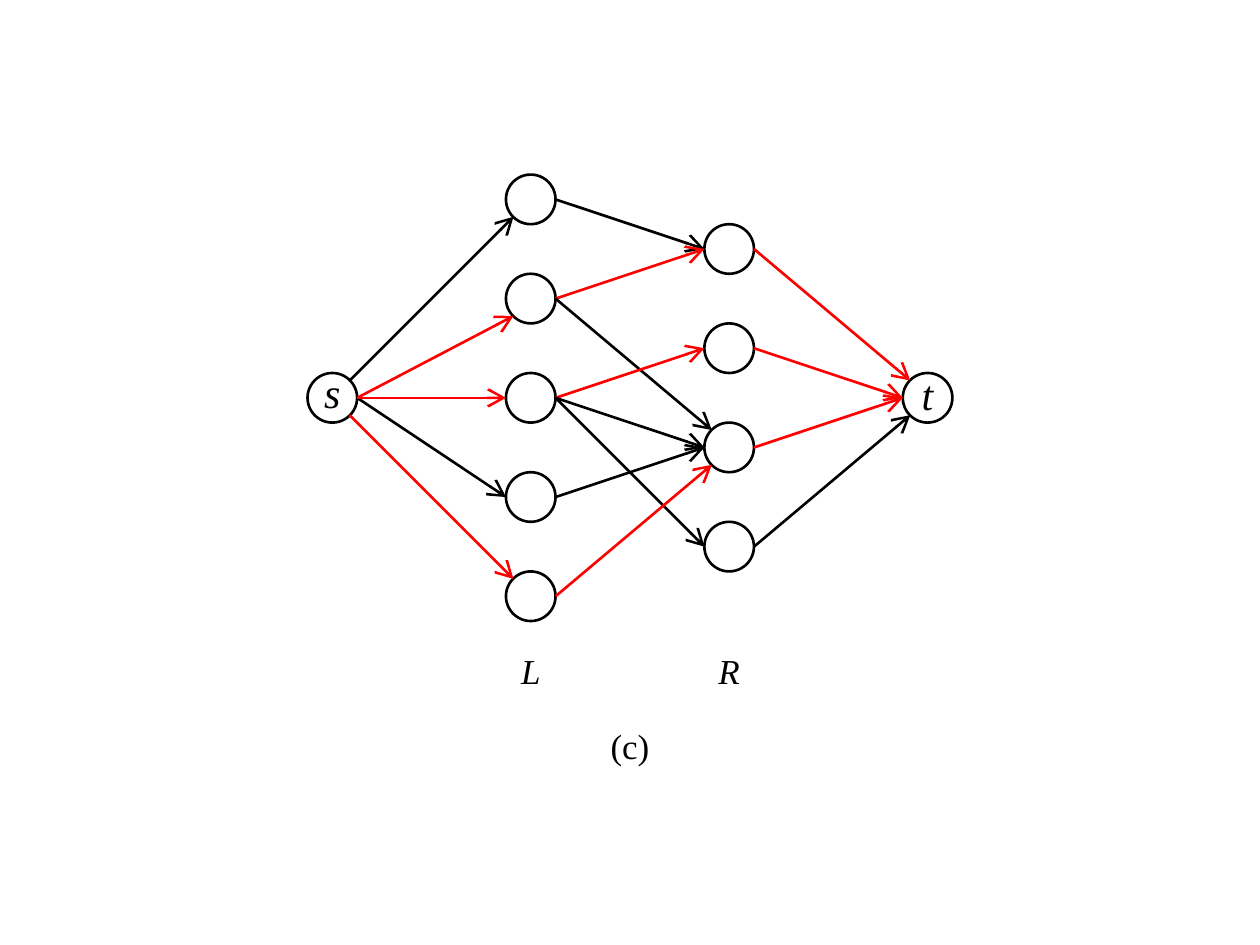
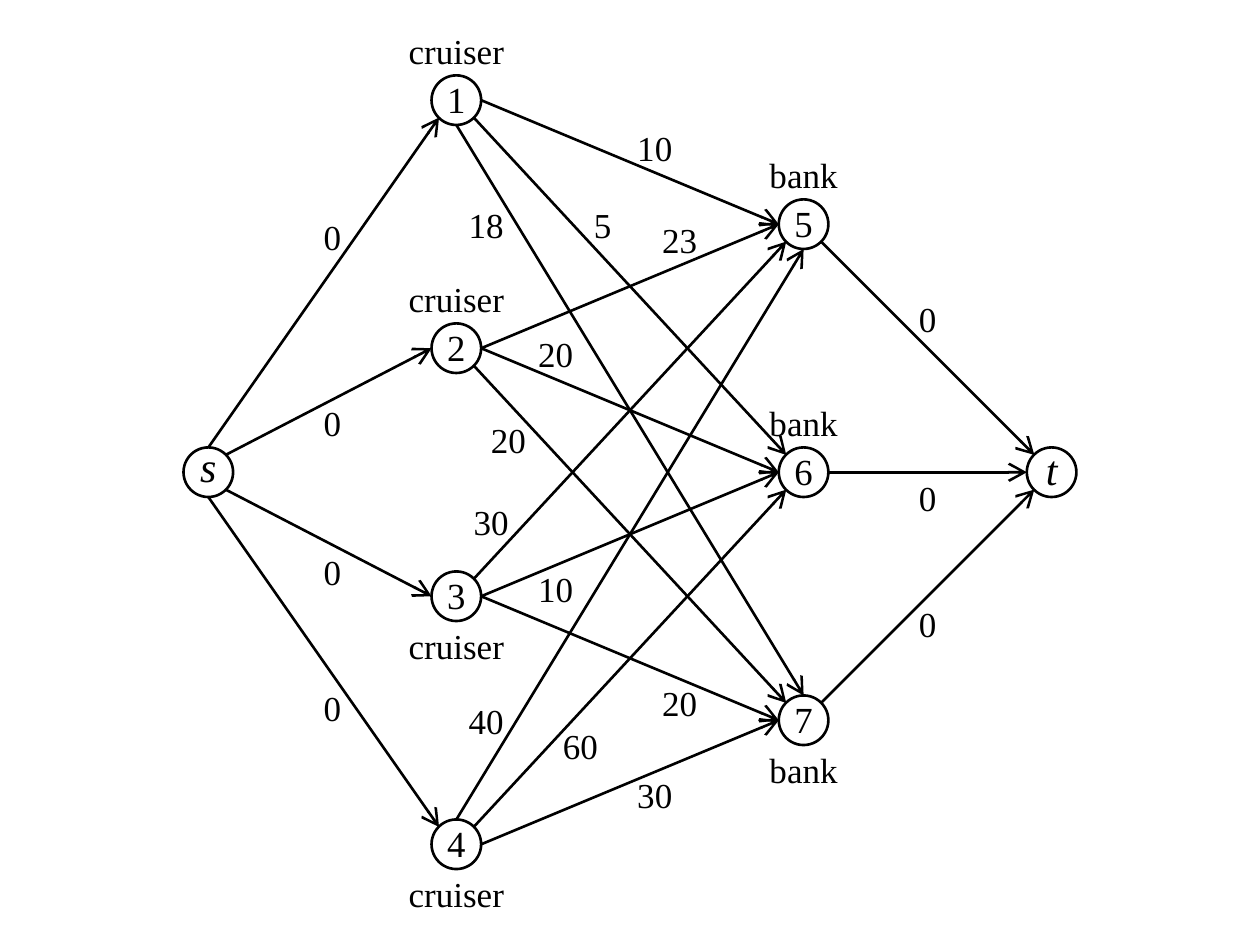
from lxml import etree
from pptx import Presentation
from pptx.dml.color import RGBColor
from pptx.enum.shapes import MSO_CONNECTOR, MSO_SHAPE
from pptx.enum.text import MSO_ANCHOR, PP_ALIGN
from pptx.oxml.ns import qn
from pptx.util import Emu, Pt

SCALE = 3600
WIDTH, HEIGHT = 2540, 1905
SIZE = 100
HALF = SIZE // 2
DIAG = 35
FONT = "Times New Roman"
COLORS = {"black": "000000", "red": "FF0000", "white": "FFFFFF"}
OVAL = MSO_SHAPE.OVAL
LINE = MSO_CONNECTOR.STRAIGHT
MIDDLE = MSO_ANCHOR.MIDDLE
CENTER = PP_ALIGN.CENTER
FLAT = (0, 0, 0, 0)
PORTS = {
    "N": (0, -HALF), "NE": (DIAG, -DIAG), "E": (HALF, 0), "SE": (DIAG, DIAG),
    "S": (0, HALF), "SW": (-DIAG, DIAG), "W": (-HALF, 0), "NW": (-DIAG, -DIAG),
}


def px(count):
    return Emu(count * SCALE)


def color(name):
    return RGBColor.from_string(COLORS[name])


def box(x, y, width=SIZE):
    return px(x - width // 2), px(y - HALF), px(width), px(SIZE)


def write(shape, text, size, slant=False, inset=FLAT):
    frame = shape.text_frame
    frame.vertical_anchor = MIDDLE
    left, top, right, bottom = inset
    frame.margin_left, frame.margin_top = px(left), px(top)
    frame.margin_right, frame.margin_bottom = px(right), px(bottom)
    line = frame.paragraphs[0]
    line.alignment = CENTER
    run = line.add_run()
    run.text = text
    run.font.name = FONT
    run.font.size = Pt(size)
    run.font.italic = slant
    run.font.color.rgb = color("black")


def node(slide, spot, text="", size=21, slant=False, lift=5):
    shape = slide.shapes.add_shape(OVAL, *box(*spot))
    shape.shadow.inherit = False
    shape.fill.solid()
    shape.fill.fore_color.rgb = color("white")
    shape.line.color.rgb = color("black")
    shape.line.width = Pt(1.5)
    if text:
        write(shape, text, size, slant, (0, 0, 0, lift))


def ends(slide, spots):
    node(slide, spots["s"], "s", 24, True, 25)
    node(slide, spots["t"], "t", 24, True, 15)


def label(slide, text, x, y, inset=FLAT, slant=False, width=SIZE):
    shape = slide.shapes.add_textbox(*box(x, y, width))
    shape.text_frame.word_wrap = False
    write(shape, text, 20, slant, inset)


def arrow(slide, spots, start, out, end, into, hue="black"):
    points = []
    for name, port in ((start, out), (end, into)):
        points += [px(a + b) for a, b in zip(spots[name], PORTS[port])]
    edge = slide.shapes.add_connector(LINE, *points)
    edge.line.color.rgb = color(hue)
    edge.line.width = Pt(1.5)
    props = edge.element.spPr
    tip = etree.SubElement(props.find(qn("a:ln")), qn("a:tailEnd"))
    for key, value in (("type", "arrow"), ("w", "lg"), ("len", "lg")):
        tip.set(key, value)
    etree.SubElement(props, qn("a:effectLst"))


def column(names, x, top, step):
    return {name: (x, top + step * i) for i, name in enumerate(names)}


def match(slide):
    spots = {"s": (670, 802), "t": (1870, 802)}
    spots |= column(["L1", "L2", "L3", "L4", "L5"], 1070, 402, 200)
    spots |= column(["R1", "R2", "R3", "R4"], 1470, 502, 200)
    ends(slide, spots)
    for name, spot in spots.items():
        if name not in ("s", "t"):
            node(slide, spot)
    edges = [
        ("s", "NE", "L1", "SW", "black"),
        ("s", "E", "L2", "SW", "red"),
        ("s", "E", "L4", "W", "black"),
        ("s", "E", "L3", "W", "red"),
        ("s", "SE", "L5", "NW", "red"),
        ("L1", "E", "R1", "W", "black"),
        ("L2", "E", "R1", "W", "red"),
        ("L2", "E", "R3", "NW", "black"),
        ("L3", "E", "R2", "W", "red"),
        ("L3", "E", "R3", "W", "black"),
        ("L3", "E", "R4", "W", "black"),
        ("L4", "E", "R3", "W", "black"),
        ("L5", "E", "R3", "SW", "red"),
        ("R1", "E", "t", "NW", "red"),
        ("R2", "E", "t", "W", "red"),
        ("R3", "E", "t", "W", "red"),
        ("R4", "E", "t", "SW", "black"),
    ]
    for edge in edges:
        arrow(slide, spots, *edge)
    label(slide, "L", 1070, 1352, slant=True)
    label(slide, "R", 1470, 1352, slant=True)
    label(slide, "(c)", 1270, 1502)


def routes(slide):
    spots = {"s": (420, 952), "t": (2120, 952)}
    cars = column("1234", 920, 202, 500)
    banks = column("567", 1620, 452, 500)
    spots |= cars | banks
    ends(slide, spots)
    for word, group in (("cruiser", cars), ("bank", banks)):
        for name, (x, y) in group.items():
            node(slide, (x, y), name)
            side = SIZE if y > spots["s"][1] else -SIZE
            label(slide, word, x, y + side, width=2 * SIZE)
    edges = [
        ("s", "N", "1", "SW", "0", 670, 502, (0, 0, 0, 50)),
        ("s", "NE", "2", "W", "0", 670, 852, FLAT),
        ("s", "SE", "3", "W", "0", 670, 1152, FLAT),
        ("s", "S", "4", "NW", "0", 670, 1402, (0, 50, 0, 0)),
        ("1", "E", "5", "W", "10", 1320, 302, (0, 0, 0, 10)),
        ("1", "SE", "6", "NW", "5", 1220, 452, (0, 0, 10, 0)),
        ("1", "S", "7", "N", "18", 970, 452, (20, 0, 0, 0)),
        ("2", "E", "5", "W", "23", 1370, 502, (0, 0, 0, 40)),
        ("2", "E", "6", "W", "20", 1120, 702, (0, 20, 0, 0)),
        ("2", "SE", "7", "NW", "20", 1020, 902, (10, 0, 0, 30)),
        ("3", "NE", "5", "SW", "30", 990, 1052, FLAT),
        ("3", "E", "6", "W", "10", 1120, 1202, (0, 0, 0, 30)),
        ("3", "E", "7", "W", "20", 1370, 1402, (0, 30, 0, 0)),
        ("4", "N", "5", "S", "40", 980, 1452, FLAT),
        ("4", "NE", "6", "SW", "60", 1170, 1502, FLAT),
        ("4", "E", "7", "W", "30", 1320, 1602, FLAT),
        ("5", "SE", "t", "NW", "0", 1870, 652, (0, 0, 0, 20)),
        ("6", "E", "t", "W", "0", 1870, 1002, FLAT),
        ("7", "NE", "t", "SW", "0", 1870, 1252, (0, 10, 0, 0)),
    ]
    for start, out, end, into, *cost in edges:
        arrow(slide, spots, start, out, end, into)
        label(slide, *cost)


def main():
    deck = Presentation()
    deck.slide_width, deck.slide_height = px(WIDTH), px(HEIGHT)
    blank = deck.slide_layouts[6]
    for draw in (match, routes):
        draw(deck.slides.add_slide(blank))
    deck.save("out.pptx")


if __name__ == "__main__":
    main()
